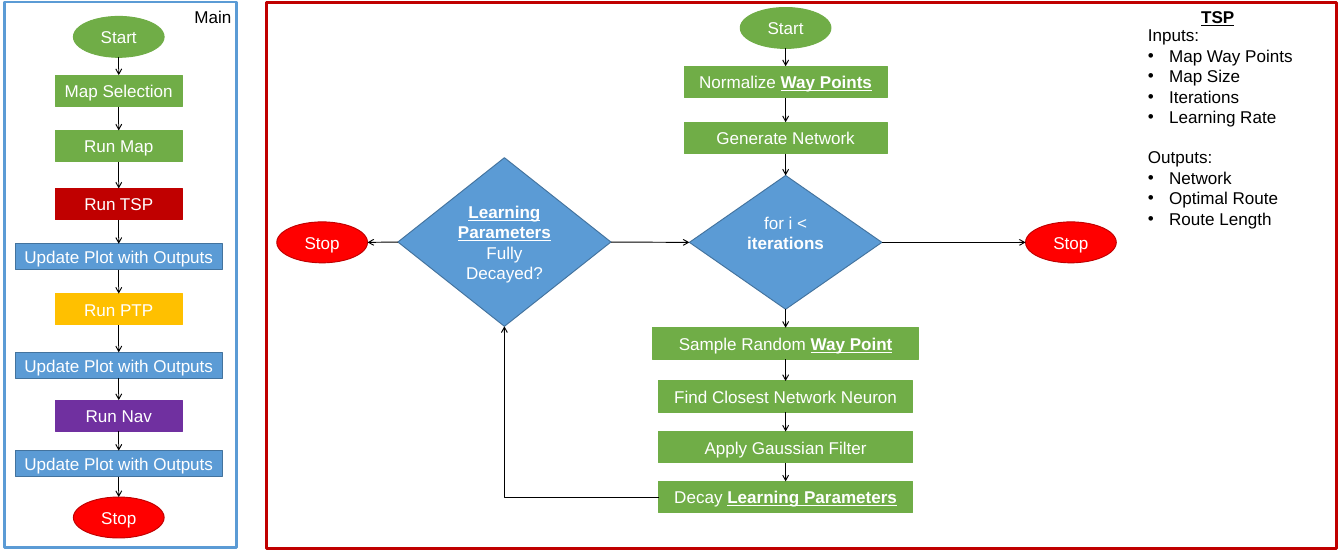
"""Draw the main program flow beside the TSP routine flow on one slide."""
import dataclasses
import itertools
import typing

import lxml.etree
import pptx
import pptx.dml.color
import pptx.enum.shapes
import pptx.enum.text
import pptx.oxml.ns
import pptx.util

Inches = pptx.util.Inches
Pt = pptx.util.Pt
Preset = pptx.enum.shapes.MSO_SHAPE
Align = pptx.enum.text.PP_ALIGN
qn = pptx.oxml.ns.qn


@dataclasses.dataclass(frozen=True)
class Theme:
    font: str = "Arial"
    size: int = 18
    thin: int = 1
    thick: int = 3
    green: str = "70AD47"
    blue: str = "5B9BD5"
    navy: str = "43739E"
    red: str = "FF0000"
    crimson: str = "C00000"
    amber: str = "FFC000"
    purple: str = "7030A0"
    white: str = "FFFFFF"
    black: str = "000000"


THEME = Theme()


class Span(typing.NamedTuple):
    text: str
    bold: bool = False
    underline: bool = False


class Point(typing.NamedTuple):
    x: float
    y: float


@dataclasses.dataclass(frozen=True)
class Step:
    spans: tuple[Span, ...]
    center: float
    top: float
    width: float
    height: float
    fill: str
    line: str
    preset: Preset = Preset.RECTANGLE
    lift: float = 0

    @property
    def upper(self) -> Point:
        return Point(self.center, self.top)

    @property
    def lower(self) -> Point:
        return Point(self.center, self.top + self.height)

    @property
    def left(self) -> Point:
        return Point(self.center - self.width / 2, self.top + self.height / 2)

    @property
    def right(self) -> Point:
        return Point(self.center + self.width / 2, self.top + self.height / 2)


def rgb(value: str) -> pptx.dml.color.RGBColor:
    return pptx.dml.color.RGBColor.from_string(value)


def process(center: float, top: float, width: float, *spans: Span, fill: str = THEME.green) -> Step:
    return Step(spans, center, top, width, 0.46, fill, fill)


def update(top: float) -> Step:
    return Step((Span("Update Plot with Outputs"),), MAIN_AXIS, top, 3.03, 0.38, THEME.blue, THEME.navy)


def start(center: float, top: float) -> Step:
    return Step((Span("Start"),), center, top, 1.33, 0.6, THEME.green, THEME.green, Preset.OVAL)


def stop(center: float, top: float) -> Step:
    return Step((Span("Stop"),), center, top, 1.33, 0.6, THEME.red, THEME.crimson, Preset.OVAL)


def decision(center: float, top: float, width: float, height: float, *spans: Span, lift: float = 0) -> Step:
    return Step(spans, center, top, width, height, THEME.blue, THEME.navy, Preset.DIAMOND, lift)


def write_spans(paragraph, spans: typing.Iterable[Span], color: str) -> None:
    for span in spans:
        run = paragraph.add_run()
        run.text = span.text
        run.font.name = THEME.font
        run.font.size = Pt(THEME.size)
        run.font.bold = span.bold
        run.font.underline = span.underline
        run.font.color.rgb = rgb(color)


def draw_step(shapes, step: Step) -> None:
    shape = shapes.add_shape(step.preset, Inches(step.left.x), Inches(step.top),
                             Inches(step.width), Inches(step.height))
    shape.shadow.inherit = False
    shape.fill.solid()
    shape.fill.fore_color.rgb = rgb(step.fill)
    shape.line.color.rgb = rgb(step.line)
    shape.line.width = Pt(THEME.thin)
    frame = shape.text_frame
    frame.word_wrap = True
    frame.vertical_anchor = pptx.enum.text.MSO_ANCHOR.MIDDLE
    frame.margin_left = frame.margin_right = Inches(0.05)
    frame.margin_bottom = Inches(0.05 + step.lift)
    frame.paragraphs[0].alignment = Align.CENTER
    write_spans(frame.paragraphs[0], step.spans, THEME.white)


def draw_arrow(shapes, begin: Point, end: Point, corner: bool = False) -> None:
    kinds = pptx.enum.shapes.MSO_CONNECTOR
    arrow = shapes.add_connector(kinds.ELBOW if corner else kinds.STRAIGHT,
                                 *(Inches(value) for value in (*begin, *end)))
    arrow.line.color.rgb = rgb(THEME.black)
    arrow.line.width = Pt(THEME.thin)
    properties = arrow._element.spPr
    if corner:
        properties.find(qn("a:prstGeom")).set("prst", "bentConnector2")
    lxml.etree.SubElement(properties.find(qn("a:ln")), qn("a:tailEnd"), type="arrow")
    lxml.etree.SubElement(properties, qn("a:effectLst"))


def draw_flow(shapes, steps: typing.Sequence[Step]) -> None:
    for step in steps:
        draw_step(shapes, step)
    for earlier, later in itertools.pairwise(steps):
        draw_arrow(shapes, earlier.lower, later.upper)


def draw_border(shapes, left: float, top: float, width: float, color: str) -> None:
    border = shapes.add_shape(Preset.RECTANGLE, Inches(left), Inches(top), Inches(width), Inches(7.99))
    border.shadow.inherit = False
    border.fill.background()
    border.line.color.rgb = rgb(color)
    border.line.width = Pt(THEME.thick)


def add_label(shapes, left: float, top: float, width: float, height: float):
    frame = shapes.add_textbox(Inches(left), Inches(top), Inches(width), Inches(height)).text_frame
    frame.word_wrap = True
    return frame


def draw_parameters(frame, groups: dict[str, tuple[str, ...]]) -> None:
    paragraph = frame.paragraphs[0]
    for heading, items in groups.items():
        if paragraph is None:
            paragraph = frame.add_paragraph()
            paragraph.space_before = Pt(20.7)
        write_spans(paragraph, [Span(heading)], THEME.black)
        for item in items:
            bullet = frame.add_paragraph()
            write_spans(bullet, [Span(item)], THEME.black)
            properties = bullet._p.get_or_add_pPr()
            properties.set("marL", str(Inches(0.31)))
            properties.set("indent", str(-Inches(0.31)))
            lxml.etree.SubElement(properties, qn("a:buFont"), typeface=THEME.font)
            lxml.etree.SubElement(properties, qn("a:buChar"), char="•")
        paragraph = None


MAIN_AXIS = 1.74
TSP_AXIS = 11.51
MAIN_FLOW = [
    start(MAIN_AXIS, 0.24),
    process(MAIN_AXIS, 1.1, 1.86, Span("Map Selection")),
    process(MAIN_AXIS, 1.91, 1.86, Span("Run Map")),
    process(MAIN_AXIS, 2.76, 1.86, Span("Run TSP"), fill=THEME.crimson),
    update(3.57),
    process(MAIN_AXIS, 4.3, 1.86, Span("Run PTP"), fill=THEME.amber),
    update(5.16),
    process(MAIN_AXIS, 5.86, 1.86, Span("Run Nav"), fill=THEME.purple),
    update(6.6),
    stop(MAIN_AXIS, 7.28),
]
LOOP = decision(TSP_AXIS, 2.57, 2.82, 1.96, Span("for i < "), Span("iterations", True), lift=0.28)
DECAY = process(TSP_AXIS, 7.05, 3.72, Span("Decay "), Span("Learning Parameters", True, True))
TSP_FLOW = [
    start(TSP_AXIS, 0.11),
    process(TSP_AXIS, 0.97, 2.97, Span("Normalize "), Span("Way Points", True, True)),
    process(TSP_AXIS, 1.79, 2.97, Span("Generate Network")),
    LOOP,
    process(TSP_AXIS, 4.8, 3.89, Span("Sample Random "), Span("Way Point", True, True)),
    process(TSP_AXIS, 5.58, 3.72, Span("Find Closest Network Neuron")),
    process(TSP_AXIS, 6.32, 3.72, Span("Apply Gaussian Filter")),
    DECAY,
]
DECAYED = decision(7.39, 2.31, 3.12, 2.47, Span("Learning Parameters ", True, True), Span("Fully Decayed?"))
DECAYED_STOP = stop(4.72, 3.25)
LOOP_STOP = stop(15.69, 3.25)
PARAMETERS = {
    "Inputs:": ("Map Way Points", "Map Size", "Iterations", "Learning Rate"),
    "Outputs:": ("Network", "Optimal Route", "Route Length"),
}


def main() -> None:
    deck = pptx.Presentation()
    deck.slide_width, deck.slide_height = Inches(19.69), Inches(8.07)
    shapes = deck.slides.add_slide(deck.slide_layouts[6]).shapes
    draw_border(shapes, 0.07, 0.03, 3.39, THEME.blue)
    draw_border(shapes, 3.91, 0.04, 15.67, THEME.crimson)
    draw_flow(shapes, MAIN_FLOW)
    draw_flow(shapes, TSP_FLOW)
    for step in (DECAYED, DECAYED_STOP, LOOP_STOP):
        draw_step(shapes, step)
    draw_arrow(shapes, DECAY.left, DECAYED.lower, corner=True)
    draw_arrow(shapes, DECAYED.right, LOOP.left)
    draw_arrow(shapes, DECAYED.left, DECAYED_STOP.right)
    draw_arrow(shapes, LOOP.right, LOOP_STOP.left)
    for left, title in ((2.75, Span("Main")), (17.5, Span("TSP", True, True))):
        write_spans(add_label(shapes, left, 0.04, 1.81, 0.4).paragraphs[0], [title], THEME.black)
    draw_parameters(add_label(shapes, 16.72, 0.31, 2.8, 3.4), PARAMETERS)
    deck.save("out.pptx")


if __name__ == "__main__":
    main()
